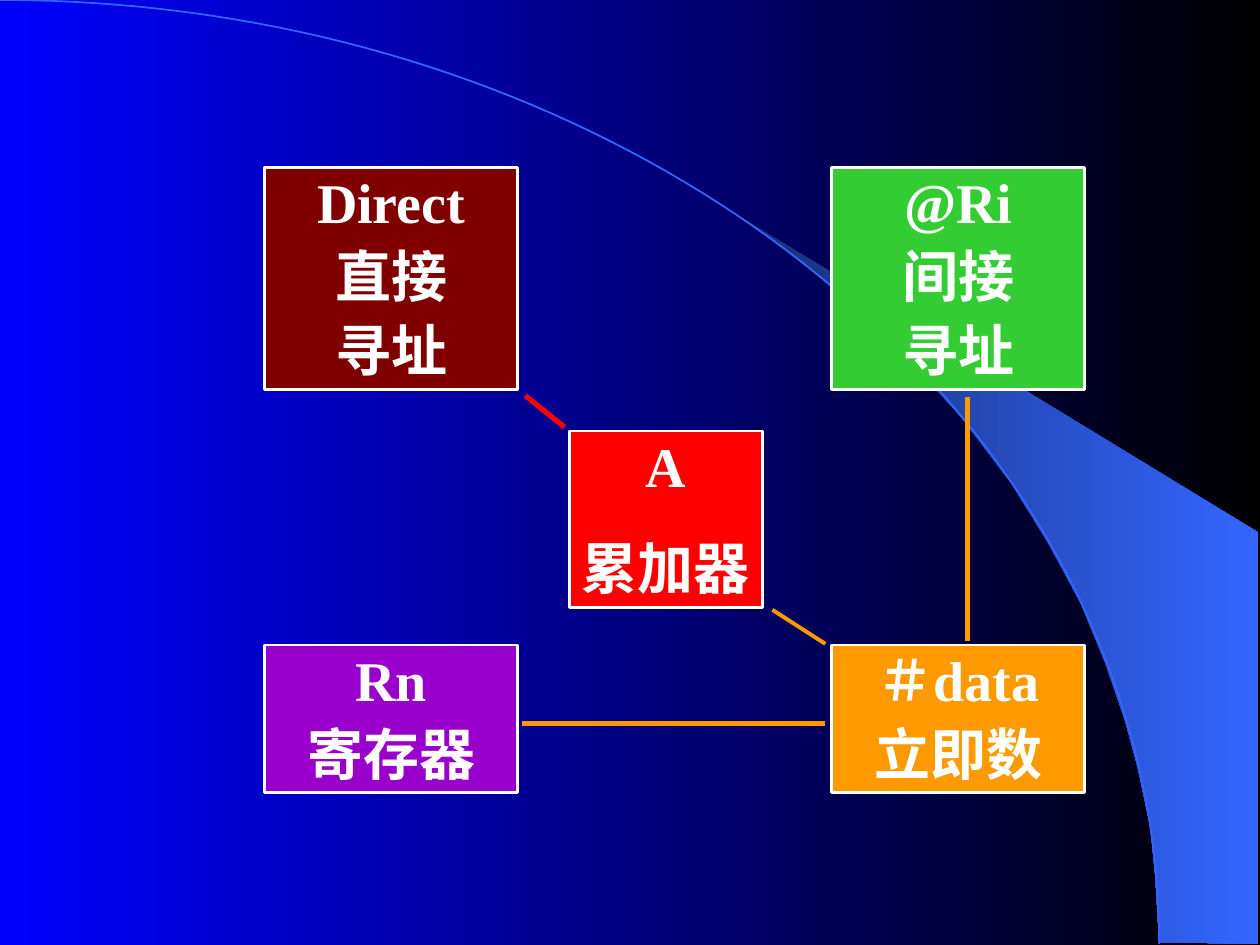
from lxml import etree
from pptx import Presentation
from pptx.dml.color import RGBColor
from pptx.enum.shapes import MSO_CONNECTOR, MSO_SHAPE
from pptx.enum.text import MSO_ANCHOR, MSO_AUTO_SIZE, PP_ALIGN
from pptx.oxml.ns import qn
from pptx.util import Inches, Pt

RECTANGLE = MSO_SHAPE.RECTANGLE
STRAIGHT = MSO_CONNECTOR.STRAIGHT
MIDDLE = MSO_ANCHOR.MIDDLE
CENTER = PP_ALIGN.CENTER
GROW = MSO_AUTO_SIZE.SHAPE_TO_FIT_TEXT

FONT = "Times New Roman"
COLORS = {
    "blue": "0000FF", "black": "000000", "navy": "182F76", "sky": "3366FF",
    "white": "FFFFFF", "red": "FF0000", "maroon": "800000",
    "green": "33CC33", "purple": "9900CC", "orange": "FF9900",
}
BEAM_OUTLINE = [
    (9.2, 7.48), (9.99, 7.49), (9.99, 4.23), (5.89, 1.73), (6.24, 1.99),
    (6.53, 2.22), (6.85, 2.5), (7.16, 2.8), (7.62, 3.3), (8.03, 3.84),
    (8.32, 4.31), (8.58, 4.79), (8.78, 5.28), (8.93, 5.72), (9.03, 6.09),
    (9.13, 6.56), (9.17, 6.96),
]
ARC_STEPS = 80


def rgb(name):
    return RGBColor.from_string(COLORS[name])


def set_gradient(fill, start, end):
    """Fill from left to right with two colours."""
    fill.gradient()
    fill.gradient_angle = 0
    for stop, name in zip(fill.gradient_stops, (start, end)):
        stop.color.rgb = rgb(name)


def add_outline(slide, points, close):
    points = [(Inches(x), Inches(y)) for x, y in points]
    builder = slide.shapes.build_freeform(*points[0])
    builder.add_line_segments(points[1:], close=close)
    shape = builder.convert_to_shape()
    shape.shadow.inherit = False
    return shape


def arc_points(width, height):
    """Sample the Bezier curve from the top left to the bottom right corner."""
    points = []
    for step in range(ARC_STEPS + 1):
        t = step / ARC_STEPS
        x = 3 * t * (1 - t) ** 2 * 5.08 + (3 * t**2 * (1 - t) + t**3) * width
        y = 3 * t**2 * (1 - t) * 3.35 + t**3 * height
        points.append((x, y))
    return points


def draw_backdrop(slide, width, height):
    set_gradient(slide.background.fill, "blue", "black")
    beam = add_outline(slide, BEAM_OUTLINE, close=True)
    set_gradient(beam.fill, "navy", "sky")
    beam.line.fill.background()
    arc = add_outline(slide, arc_points(width, height), close=False)
    arc.fill.background()
    arc.line.color.rgb = rgb("sky")
    arc.line.width = Pt(1)


def add_text(frame, text, first=False, size=32, color="white", bold=True,
             space_before=0, line_spacing=None):
    paragraph = frame.paragraphs[0] if first else frame.add_paragraph()
    paragraph.alignment = CENTER
    if not first:
        paragraph.space_before = Pt(space_before)
    if line_spacing:
        paragraph.line_spacing = line_spacing
    run = paragraph.add_run()
    run.text = text
    run.font.name = FONT
    run.font.size = Pt(size)
    run.font.bold = bold
    run.font.color.rgb = rgb(color)


def draw_operand(slide, box, color, lines, side_margin=0.1, **spacing):
    shape = slide.shapes.add_shape(RECTANGLE, *map(Inches, box))
    shape.shadow.inherit = False
    shape.fill.solid()
    shape.fill.fore_color.rgb = rgb(color)
    shape.line.color.rgb = rgb("white")
    shape.line.width = Pt(1.5)
    frame = shape.text_frame
    frame.word_wrap = True
    frame.auto_size = GROW
    frame.vertical_anchor = MIDDLE
    frame.margin_left = frame.margin_right = Inches(side_margin)
    frame.margin_top = 0
    frame.margin_bottom = Inches(0.05)
    add_text(frame, lines[0], first=True)
    for line in lines[1:]:
        add_text(frame, line, **spacing)


def draw_link(slide, start, end, color="orange", width=3):
    link = slide.shapes.add_connector(STRAIGHT, *map(Inches, start + end))
    link.line.color.rgb = rgb(color)
    link.line.width = Pt(width)
    properties = link._element.find(qn("p:spPr"))
    etree.SubElement(properties, qn("a:effectLst"))


def draw_diagram(slide):
    left, right, width = 2.1, 6.6, 2.01
    top, top_height = 1.33, 1.76
    bottom, bottom_height = 5.12, 1.17
    draw_operand(slide, (4.52, 3.42, 1.53, 1.4), "red", ["A", "累加器"],
                 side_margin=0.04, space_before=20)
    operands = [
        (left, top, top_height, "maroon", ["Direct", "直接", "寻址"]),
        (right, top, top_height, "green", ["@Ri", "间接", "寻址"]),
        (left, bottom, bottom_height, "purple", ["Rn", "寄存器"]),
        (right, bottom, bottom_height, "orange", ["＃data", "立即数"]),
    ]
    for x, y, height, color, lines in operands:
        draw_operand(slide, (x, y, width, height), color, lines,
                     line_spacing=1.1)
    draw_link(slide, (4.48, 3.39), (4.17, 3.14), color="red")
    draw_link(slide, (6.13, 4.84), (6.55, 5.11), width=2.25)
    draw_link(slide, (4.14, 5.74), (6.55, 5.74))
    draw_link(slide, (7.68, 3.15), (7.68, 5.09))


def main():
    presentation = Presentation()
    presentation.slide_width = Inches(10)
    presentation.slide_height = Inches(7.5)
    slide = presentation.slides.add_slide(presentation.slide_layouts[6])
    draw_backdrop(slide, 9.2, 7.49)
    draw_diagram(slide)
    presentation.save("out.pptx")


if __name__ == "__main__":
    main()
